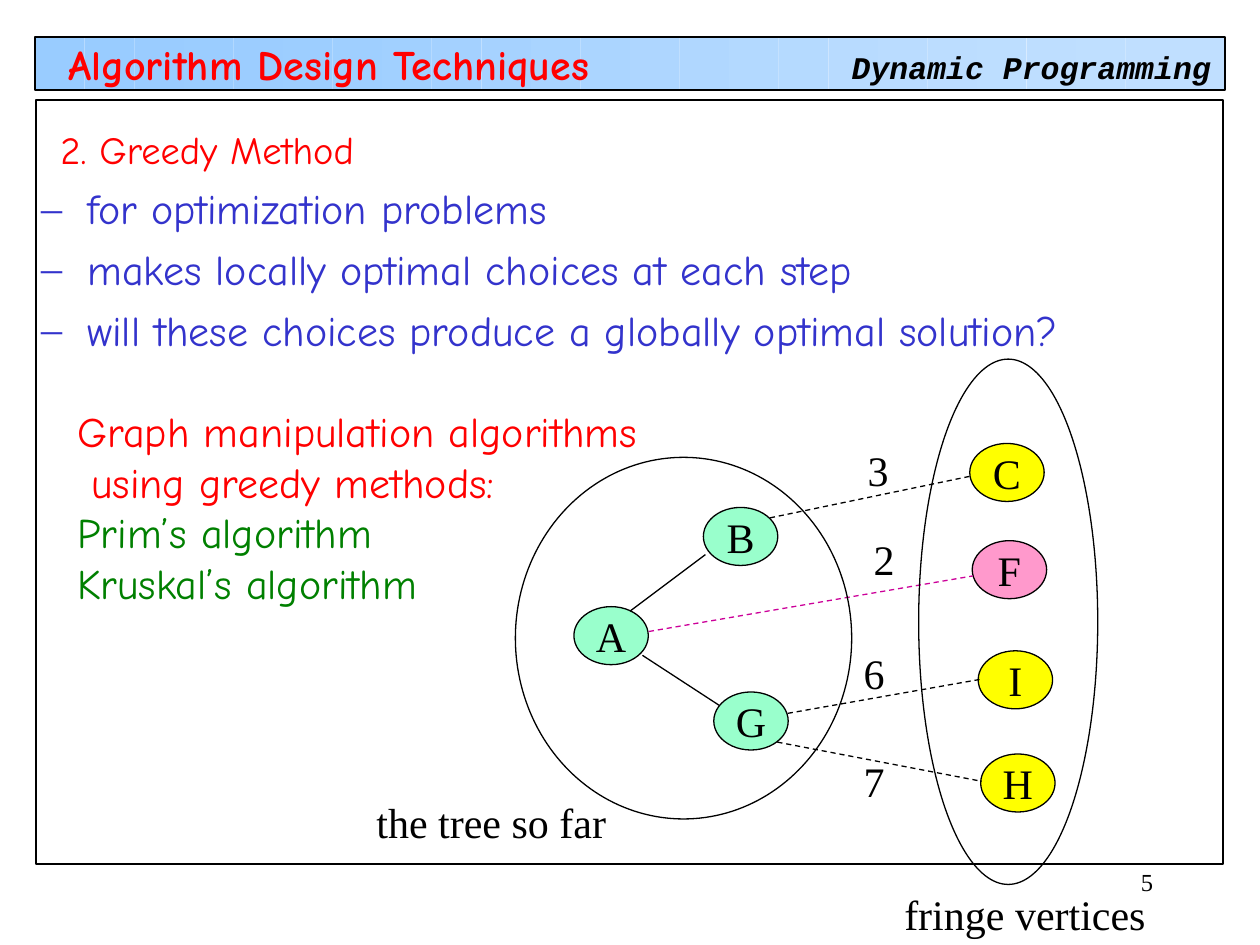
from math import cos, pi

from lxml.etree import SubElement
from pptx import Presentation
from pptx.dml.color import RGBColor
from pptx.enum.dml import MSO_LINE
from pptx.enum.shapes import MSO_CONNECTOR, MSO_SHAPE
from pptx.enum.text import MSO_ANCHOR, MSO_AUTO_SIZE, PP_ALIGN
from pptx.oxml.ns import qn
from pptx.util import Cm, Pt

COLORS = {
    "black": "000000", "red": "FF0000", "green": "008000", "blue": "3333CC",
    "magenta": "CC0099", "mint": "99FFCC", "yellow": "FFFF00", "pink": "FF99CC",
    "bar_left": "99CCFF", "bar_right": "C0DFFF",
}
COMIC, TIMES, COURIER = "Comic Neue", "Times New Roman", "Courier New"
NODE_W, NODE_H = 1.5, 1.17
LABEL_H = 1.27
STRIPS = 24


def rgb(name):
    return RGBColor.from_string(COLORS[name])


def blend(start, end, t):
    return RGBColor(*(round(a + (b - a) * t) for a, b in zip(rgb(start), rgb(end))))


class SlideBuilder:
    def __init__(self, slide):
        self.s = slide

    def run(self, p, text, color="black", size=24, font=TIMES, bold=False, italic=False):
        r = p.add_run()
        r.text = text
        r.font.size, r.font.name = Pt(size), font
        r.font.bold, r.font.italic = bold, italic
        r.font.color.rgb = rgb(color)

    def title(self, text, x, y, w, h):
        """Format the title and bring it in front of what is drawn so far."""
        sp = self.s.shapes.title
        sp.left, sp.top, sp.width, sp.height = Cm(x), Cm(y), Cm(w), Cm(h)
        sp.element.getparent().append(sp.element)
        tf = sp.text_frame
        tf.auto_size = MSO_AUTO_SIZE.NONE
        tf.vertical_anchor = MSO_ANCHOR.MIDDLE
        p = tf.paragraphs[0]
        p.alignment = PP_ALIGN.LEFT
        self.run(p, text, "red", font=COMIC, bold=True)

    def text(self, lines, x, y, w, h, wrap=False, **style):
        """Add a text box; each line is (text, color). Returns its paragraphs."""
        tf = self.s.shapes.add_textbox(Cm(x), Cm(y), Cm(w), Cm(h)).text_frame
        tf.word_wrap = wrap
        tf.auto_size = MSO_AUTO_SIZE.NONE if wrap else MSO_AUTO_SIZE.SHAPE_TO_FIT_TEXT
        for i, (text, color) in enumerate(lines):
            p = tf.add_paragraph() if i else tf.paragraphs[0]
            self.run(p, text, color, **style)
        return tf.paragraphs

    def indent(self, p, margin, first=0):
        pPr = p._p.get_or_add_pPr()
        pPr.set("marL", str(Cm(margin)))
        pPr.set("indent", str(Cm(first)))
        return pPr

    def bullets(self, lines, color, x, y, w, h):
        paragraphs = self.text([(line, color) for line in lines], x, y, w, h,
                               wrap=True, font=COMIC)
        for p in paragraphs:
            p.space_after = Pt(6)
            pPr = self.indent(p, 1.56, -0.93)
            clr = SubElement(pPr, qn("a:buClr"))
            SubElement(clr, qn("a:srgbClr"), val=COLORS[color])
            SubElement(pPr, qn("a:buFont"), typeface=TIMES)
            SubElement(pPr, qn("a:buChar"), char="–")

    def shape(self, kind, x, y, w, h, fill=None, line_width=0.75):
        sp = self.s.shapes.add_shape(kind, Cm(x), Cm(y), Cm(w), Cm(h))
        sp.shadow.inherit = False
        if fill:
            sp.fill.solid()
            sp.fill.fore_color.rgb = rgb(fill)
        else:
            sp.fill.background()
        sp.line.color.rgb = rgb("black")
        sp.line.width = Pt(line_width)
        return sp

    def shaded_bar(self, x, y, w, h, start, end):
        """Strips that ease from one colour to the other, inside one outline."""
        step = w / STRIPS
        for i in range(STRIPS):
            sp = self.shape(MSO_SHAPE.RECTANGLE, x + i * step, y, step, h, start)
            sp.fill.fore_color.rgb = blend(start, end, (1 - cos(pi * i / (STRIPS - 1))) / 2)
            sp.line.fill.background()
        self.shape(MSO_SHAPE.RECTANGLE, x, y, w, h, line_width=1.25)

    def node(self, name, x, y, fill):
        tf = self.shape(MSO_SHAPE.OVAL, x, y, NODE_W, NODE_H, fill).text_frame
        tf.word_wrap = False
        tf.vertical_anchor = MSO_ANCHOR.MIDDLE
        p = tf.paragraphs[0]
        p.alignment = PP_ALIGN.CENTER
        self.run(p, name)

    def edge(self, x1, y1, x2, y2, color="black", dashed=True):
        cx = self.s.shapes.add_connector(MSO_CONNECTOR.STRAIGHT, Cm(x1), Cm(y1), Cm(x2), Cm(y2))
        cx.line.color.rgb = rgb(color)
        cx.line.width = Pt(0.75)
        if dashed:
            cx.line.dash_style = MSO_LINE.DASH
        SubElement(cx._element.spPr, qn("a:effectLst"))


def main():
    prs = Presentation()
    prs.slide_width, prs.slide_height = Cm(25.4), Cm(19.05)
    b = SlideBuilder(prs.slides.add_slide(prs.slide_layouts[5]))

    # Header and frame
    b.shaded_bar(0.71, 0.75, 23.98, 1.07, "bar_left", "bar_right")
    b.shape(MSO_SHAPE.RECTANGLE, 0.73, 2.01, 23.93, 15.41, line_width=1.25)
    b.text([("Dynamic Programming", "black")], 16.92, 0.84, 7.75, 1.02,
           size=18, font=COURIER, bold=True, italic=True)
    number = b.text([("5", "black")], 20.12, 17.35, 3.38, LABEL_H, wrap=True, size=14)
    number[0].alignment = PP_ALIGN.RIGHT
    b.title("Algorithm Design Techniques", 1.12, 0.97, 13.13, 0.64)

    # Text
    heading = b.text([("2. Greedy Method", "red")], 0.97, 1.85, 23.7, 3.25,
                     wrap=True, size=22, font=COMIC)
    heading[0].line_spacing = 1.6
    b.bullets(["for optimization problems",
               "makes locally optimal choices at each step",
               "will these choices produce a globally optimal solution?"],
              "blue", -0.05, 3.56, 24.46, 3.73)
    algorithms = b.text([("Graph manipulation algorithms", "red"),
                         ("using greedy methods:", "red"),
                         ("Prim’s algorithm", "green"),
                         ("Kruskal’s algorithm", "green")],
                        1.31, 8.06, 11.79, 4.32, font=COMIC)
    b.indent(algorithms[1], 0.28)

    # Graph
    for name, x, y, fill in [
        ("A", 11.57, 12.23, "mint"), ("G", 14.39, 13.95, "mint"),
        ("H", 19.77, 15.2, "yellow"), ("B", 14.18, 10.23, "mint"),
        ("I", 19.72, 13.12, "yellow"), ("F", 19.6, 10.9, "pink"),
        ("C", 19.55, 8.94, "yellow"),
    ]:
        b.node(name, x, y, fill)

    b.edge(12.7, 12.32, 14.22, 11.18, dashed=False)
    b.edge(12.95, 13.21, 14.5, 14.22, dashed=False)
    b.edge(15.52, 10.44, 19.56, 9.6)
    b.edge(13.08, 12.73, 19.61, 11.61, "magenta")
    b.edge(15.88, 14.38, 19.79, 13.69)
    b.edge(15.67, 14.96, 19.79, 15.75)

    b.shape(MSO_SHAPE.OVAL, 10.39, 9.22, 6.78, 7.29)
    b.shape(MSO_SHAPE.OVAL, 18.52, 7.24, 3.61, 10.59)

    for label, x, y, w in [
        ("fringe vertices", 17.98, 17.78, 5.5), ("the tree so far", 7.34, 15.93, 5.3),
        ("3", 17.24, 8.84, 1), ("2", 17.36, 10.63, 1),
        ("6", 17.16, 12.93, 1), ("7", 17.16, 15.11, 1),
    ]:
        b.text([(label, "black")], x, y, w, LABEL_H, wrap=True)

    prs.save("out.pptx")


if __name__ == "__main__":
    main()
